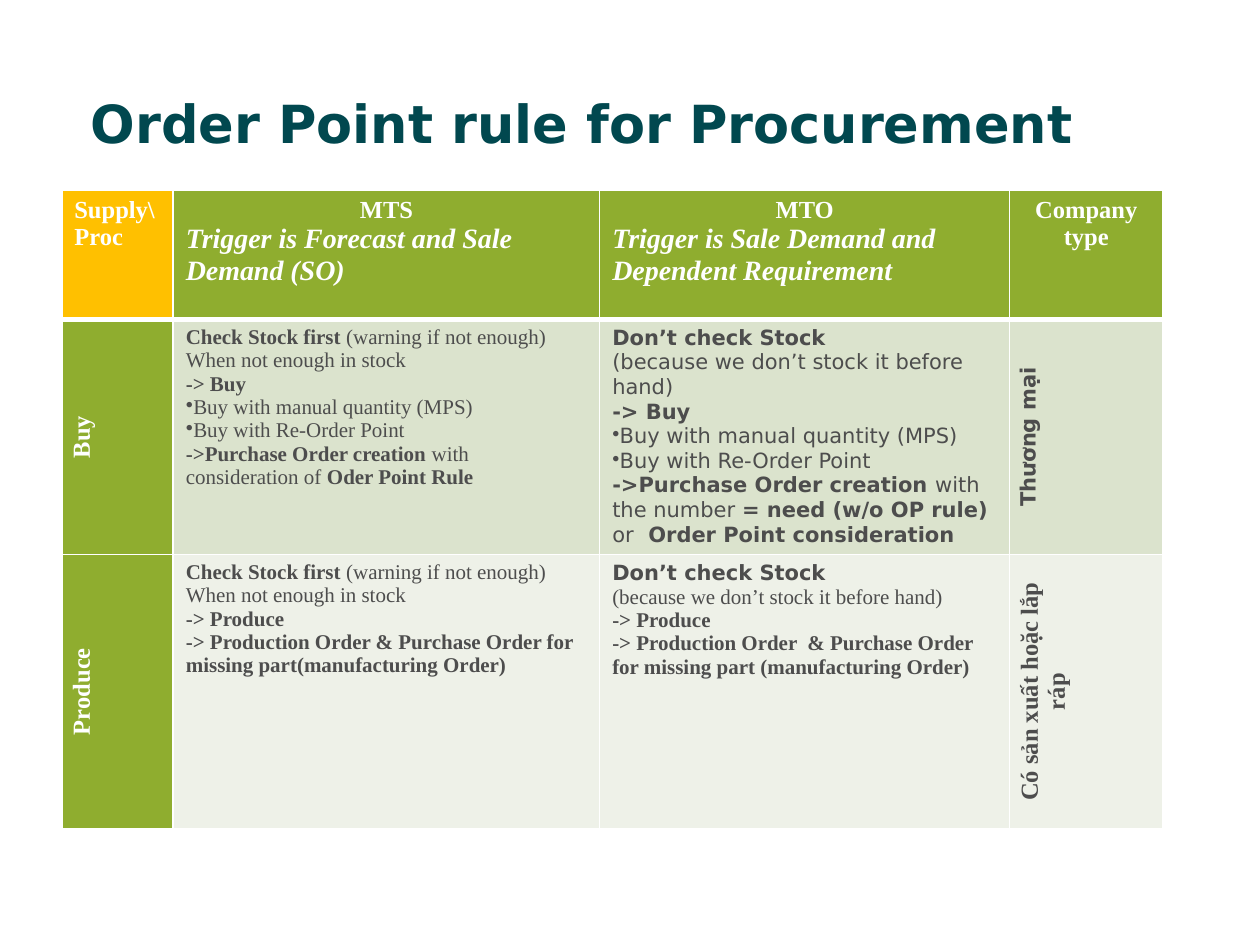
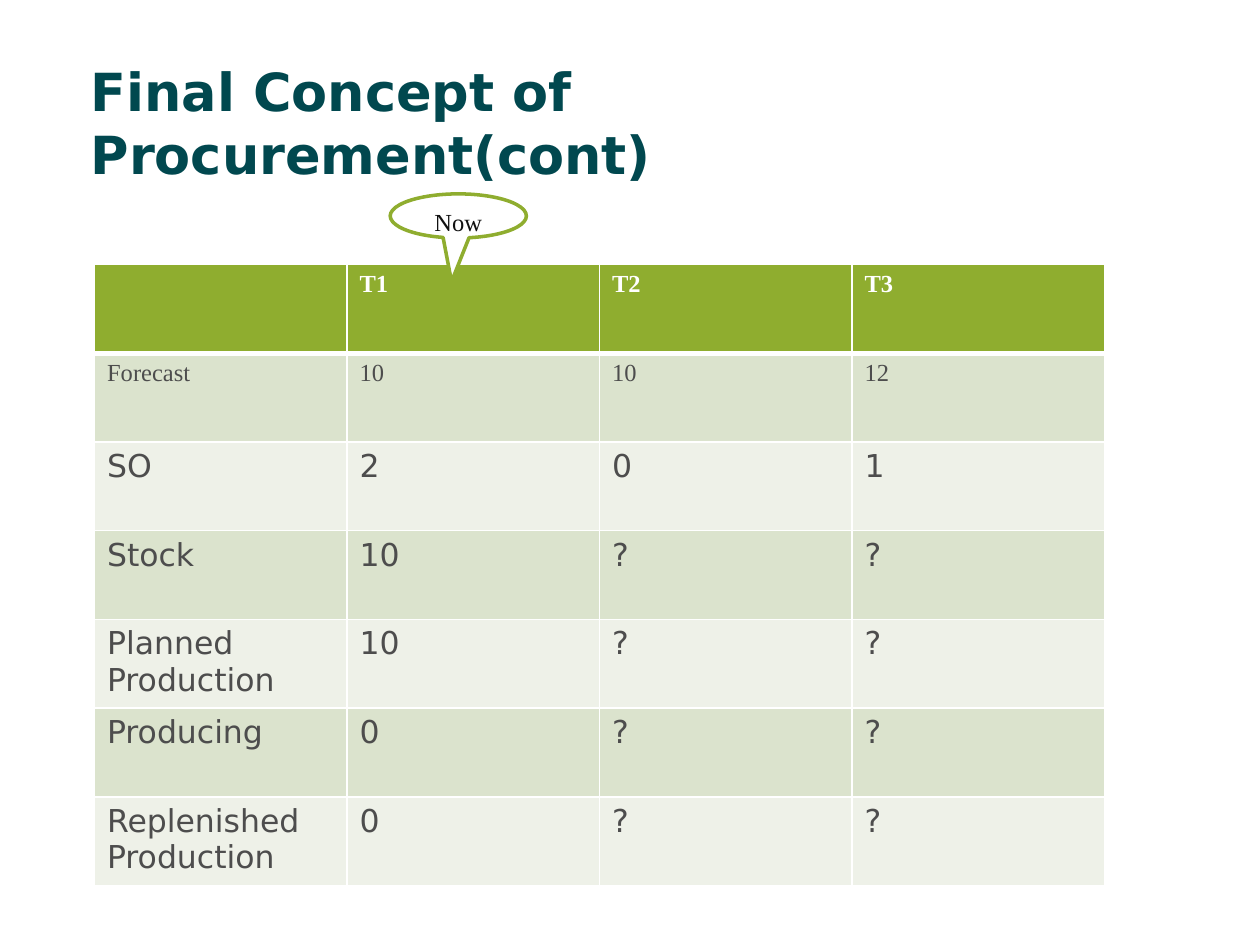
from dataclasses import dataclass, replace

from lxml import etree
from pptx import Presentation
from pptx.dml.color import RGBColor
from pptx.enum import shapes, text
from pptx.oxml import ns
from pptx.util import Pt

TEAL = RGBColor(0x01, 0x48, 0x4F)
GREEN = RGBColor(0x8F, 0xAD, 0x2F)
AMBER = RGBColor(0xFF, 0xC0, 0x00)
BAND_DARK = RGBColor(0xDB, 0xE3, 0xCD)
BAND_LIGHT = RGBColor(0xEE, 0xF1, 0xE8)
GREY = RGBColor(0x4D, 0x4D, 0x4D)
BLACK = RGBColor(0x11, 0x11, 0x11)
WHITE = RGBColor(0xFF, 0xFF, 0xFF)
SERIF, SANS = "Times New Roman", "DejaVu Sans"
CENTER = text.PP_ALIGN.CENTER


@dataclass(frozen=True)
class Style:
    font: str
    size: float
    color: RGBColor
    bold: bool = False
    italic: bool = False
    align: text.PP_ALIGN = text.PP_ALIGN.LEFT


TITLE = Style(SANS, 30, TEAL, bold=True)
HEAD = Style(SERIF, 14, WHITE, bold=True)
HEAD_MID = replace(HEAD, align=CENTER)
TRIGGER = replace(HEAD, size=16, italic=True)
BODY = Style(SERIF, 12, GREY)
BODY_SANS = replace(BODY, font=SANS)
FIGURE = replace(BODY, size=14)
FIGURE_SANS = Style(SANS, 18, GREY)
CALLOUT = Style(SERIF, 14, BLACK, align=CENTER)


def styled(style, *lines):
    """Pair each line with one style."""
    return [(line, style) for line in lines]


class Deck:
    def __init__(self, width, height):
        self.prs = Presentation()
        self.prs.slide_width, self.prs.slide_height = Pt(width), Pt(height)
        self.slide = None

    def new_slide(self, heading):
        self.slide = self.prs.slides.add_slide(self.prs.slide_layouts[5])
        title = self.slide.shapes.title
        title.left, title.top, title.width, title.height = map(Pt, (44.6, 46, 618, 48))
        frame = title.text_frame
        frame.auto_size = text.MSO_AUTO_SIZE.NONE
        frame.vertical_anchor = text.MSO_ANCHOR.MIDDLE
        frame.margin_right = Pt(14)
        self.put_text(frame, styled(TITLE, heading))

    def put_text(self, frame, lines):
        """Set the lines; ** toggles bold and a leading • becomes a bullet."""
        for i, (line, style) in enumerate(lines):
            para = frame.paragraphs[0] if i == 0 else frame.add_paragraph()
            para.alignment = style.align
            font = para.font
            font.name, font.size, font.italic = style.font, Pt(style.size), style.italic
            font.color.rgb = style.color
            if line.startswith("•"):
                line = line[1:]
                bullet = etree.Element(ns.qn("a:buChar"), char="•")
                para._p.get_or_add_pPr().insert(0, bullet)
            parts = [(part, style.bold or n % 2 == 1)
                     for n, part in enumerate(line.split("**")) if part]
            if len(parts) == 1:
                font.bold = parts[0][1]
            for part, bold in parts:
                run = para.add_run()
                run.text = part
                if len(parts) > 1:
                    run.font.bold = bold

    def table(self, left, top, widths, heights):
        grid = self.slide.shapes.add_table(
            len(heights), len(widths), Pt(left), Pt(top),
            Pt(sum(widths)), Pt(sum(heights))).table
        for column, width in zip(grid.columns, widths):
            column.width = Pt(width)
        for row, height in zip(grid.rows, heights):
            row.height = Pt(height)
        for r in range(len(heights)):
            for c in range(len(widths)):
                cell = grid.cell(r, c)
                self.borders(cell, top=3 if r == 1 else 1, bottom=3 if r == 0 else 1)
                self.fill(cell, GREEN if r == 0 else BAND_DARK if r % 2 else BAND_LIGHT)
        return grid

    def borders(self, cell, top, bottom):
        props = cell._tc.get_or_add_tcPr()
        for side, width in zip("LRTB", (1, 1, top, bottom)):
            line = etree.SubElement(props, ns.qn(f"a:ln{side}"), w=str(Pt(width)))
            solid = etree.SubElement(line, ns.qn("a:solidFill"))
            etree.SubElement(solid, ns.qn("a:srgbClr"), val=str(WHITE))

    def fill(self, shape, color):
        shape.fill.solid()
        shape.fill.fore_color.rgb = color

    def turn(self, cell):
        cell.vertical_anchor = text.MSO_ANCHOR.MIDDLE
        cell._tc.get_or_add_tcPr().set("vert", "vert270")

    def callout(self, left, top, width, height, label, tip):
        bubble = self.slide.shapes.add_shape(
            shapes.MSO_SHAPE.OVAL_CALLOUT, *map(Pt, (left, top, width, height)))
        bubble.shadow.inherit = False
        bubble.adjustments[0], bubble.adjustments[1] = tip
        self.fill(bubble, WHITE)
        bubble.line.color.rgb, bubble.line.width = GREEN, Pt(2)
        bubble.text_frame.vertical_anchor = text.MSO_ANCHOR.TOP
        self.put_text(bubble.text_frame, styled(CALLOUT, label))


def order_point_slide(deck):
    deck.new_slide("Order Point rule for Procurement")
    check_stock = ("**Check Stock first **(warning if not enough)",
                   "When not enough in stock")
    no_check = "**Don’t check Stock**"
    no_stock = "(because we don’t stock it before hand)"
    buy = ("**-> Buy**", "•Buy with manual quantity (MPS)", "•Buy with Re-Order Point")
    company = replace(FIGURE, bold=True, align=CENTER)
    rows = [
        # Header
        [styled(HEAD, "Supply\\ Proc"),
         styled(HEAD_MID, "MTS")
         + styled(TRIGGER, "Trigger is Forecast and Sale Demand (SO)"),
         styled(HEAD_MID, "MTO")
         + styled(TRIGGER, "Trigger is Sale Demand and Dependent Requirement"),
         styled(HEAD_MID, "Company type")],
        # Buy
        [styled(HEAD_MID, "Buy"),
         styled(BODY, *check_stock, *buy,
                "**->Purchase Order creation **with consideration of **Oder Point Rule**"),
         styled(BODY_SANS, no_check, no_stock, *buy,
                "**->Purchase Order creation **with the number "
                "**= need (w/o OP rule) **or**  Order Point consideration**"),
         styled(replace(company, font=SANS, size=12), "Thương mại")],
        # Produce
        [styled(HEAD_MID, "Produce"),
         styled(BODY, *check_stock, "**-> Produce**",
                "**-> Production Order & Purchase Order for missing "
                "part(manufacturing Order)**"),
         styled(BODY_SANS, no_check)
         + styled(BODY, no_stock, "**-> Produce**",
                  "**-> Production Order  & Purchase Order for missing part "
                  "(manufacturing Order)**"),
         styled(company, "Có sản xuất hoặc lắp ráp")],
    ]
    rules = deck.table(35.3, 108.9, (63.7, 243.7, 234.3, 87.6), (73.7, 134.3, 156))
    for r, row in enumerate(rows):
        for c, lines in enumerate(row):
            deck.put_text(rules.cell(r, c).text_frame, lines)
    deck.fill(rules.cell(0, 0), AMBER)
    for r in (1, 2):
        deck.fill(rules.cell(r, 0), GREEN)
        for c in (0, 3):
            deck.turn(rules.cell(r, c))


def final_concept_slide(deck):
    deck.new_slide("Final Concept of Procurement(cont)")
    rows = [
        ("", "T1", "T2", "T3"),
        ("Forecast", "10", "10", "12"),
        ("SO", "2", "0", "1"),
        ("Stock", "10", "?", "?"),
        ("Planned Production", "10", "?", "?"),
        ("Producing", "0", "?", "?"),
        ("Replenished Production", "0", "?", "?"),
    ]
    plan = deck.table(54, 151.2, [144.3] * 4, [50.7] * len(rows))
    for r, row in enumerate(rows):
        style = (HEAD, FIGURE)[r] if r < 2 else FIGURE_SANS
        for c, value in enumerate(row):
            deck.put_text(plan.cell(r, c).text_frame, styled(style, value))
    # Marker of the current period
    deck.callout(223, 110.8, 77.8, 25.2, "Now", (-0.05, 1.49))


def main():
    deck = Deck(720, 540)
    order_point_slide(deck)
    final_concept_slide(deck)
    deck.prs.save("out.pptx")


if __name__ == "__main__":
    main()
